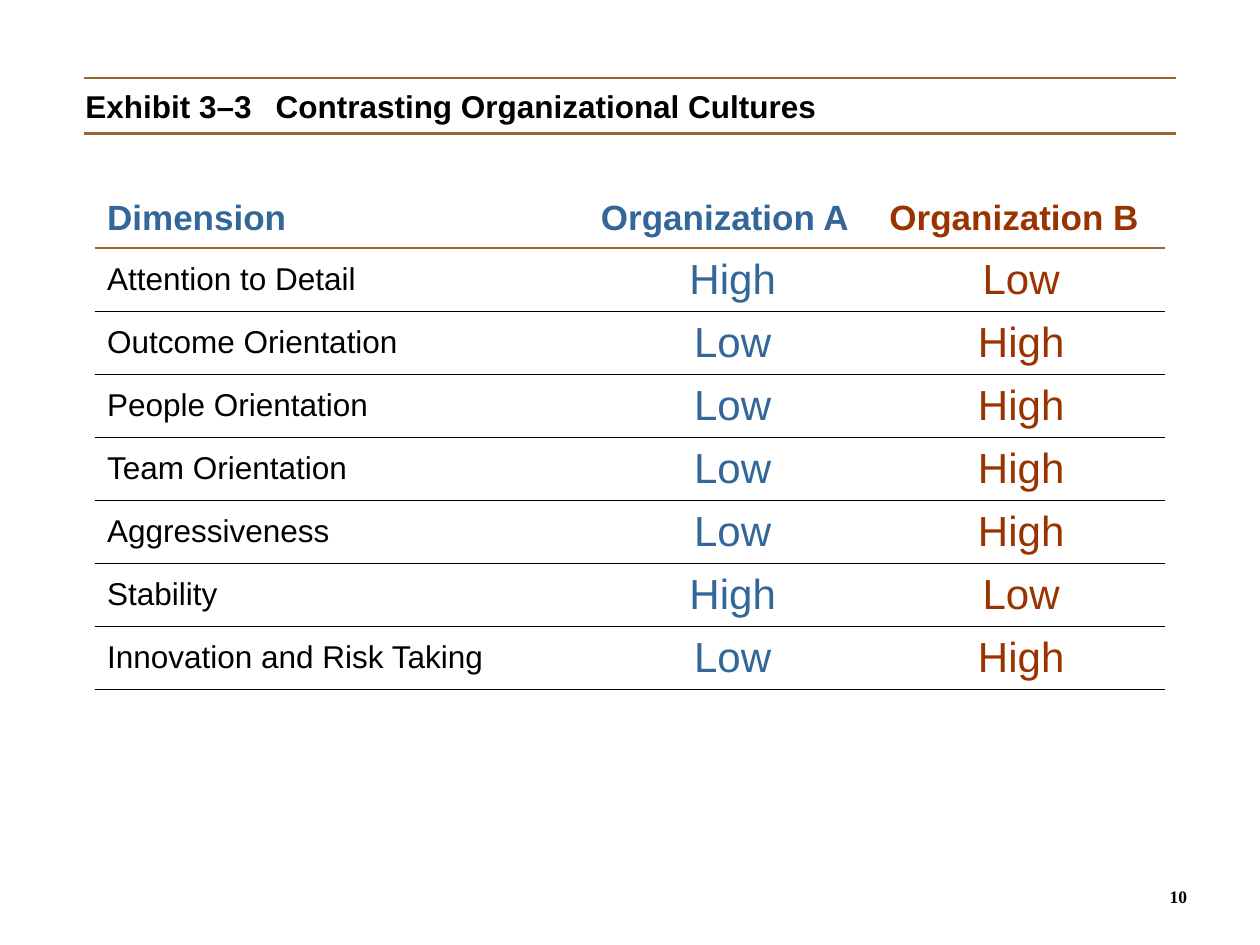
"""Build a slide with a table that contrasts two organizational cultures."""
from lxml.etree import SubElement
from pptx import Presentation
from pptx.dml.color import RGBColor as Rgb
from pptx.enum.shapes import MSO_CONNECTOR as Link
from pptx.enum.text import MSO_ANCHOR as Anchor, PP_ALIGN as Align
from pptx.oxml import parse_xml
from pptx.oxml.ns import nsdecls, qn
from pptx.util import Inches, Pt

TITLE = "Exhibit 3–3\tContrasting Organizational Cultures"
PAGE = "10"
HEADS = ("Dimension", "Organization A", "Organization B")
ROWS = [
    ("Attention to Detail", "High", "Low"),
    ("Outcome Orientation", "Low", "High"),
    ("People Orientation", "Low", "High"),
    ("Team Orientation", "Low", "High"),
    ("Aggressiveness", "Low", "High"),
    ("Stability", "High", "Low"),
    ("Innovation and Risk Taking", "Low", "High"),
]
COLORS = {"ink": "000000", "rule": "996633", "blue": "336699", "red": "993300"}
WIDTHS = (3.92, 2.29, 2.29)
HEAD_H, ROW_H = 0.44, 0.5
PLAIN = "{2D5ABB26-0587-4C30-8999-92F81FD0307C}"


def style(para, size, color, bold=False, face="Arial", align=Align.LEFT):
    para.alignment = align
    font = para.font
    font.size, font.bold, font.name = Pt(size), bold, face
    font.color.rgb = Rgb.from_string(COLORS[color])


def add_text(slide, text, box, anchor, side):
    frame = slide.shapes.add_textbox(*map(Inches, box)).text_frame
    frame.word_wrap = True
    frame.vertical_anchor = anchor
    frame.margin_left = frame.margin_right = Inches(side)
    para = frame.paragraphs[0]
    para.text = text
    return para


def add_title(slide):
    para = add_text(slide, TITLE, (0.58, 0.64, 8.83, 0.4), Anchor.TOP, 0.1)
    props = para._p.get_or_add_pPr()
    hang = Inches(1.51)
    props.set("marL", str(hang))
    props.set("indent", str(-hang))
    tabs = SubElement(props, qn("a:tabLst"))
    SubElement(tabs, qn("a:tab"), pos=str(hang), algn="l")
    style(para, 18, "ink", True)


def add_rule(slide, y):
    ends = map(Inches, (0.67, y, 9.33, y))
    rule = slide.shapes.add_connector(Link.STRAIGHT, *ends)
    rule.line.color.rgb = Rgb.from_string(COLORS["rule"])
    rule.line.width = Pt(1.5)
    SubElement(rule._element.spPr, qn("a:effectLst"))


def border(cell, side, color, width):
    line = parse_xml(
        f'<a:{side} {nsdecls("a")} w="{Pt(width)}"><a:solidFill>'
        f'<a:srgbClr val="{COLORS[color]}"/></a:solidFill></a:{side}>')
    cell._tc.get_or_add_tcPr().insert(0, line)


def add_grid(slide):
    count = len(ROWS) + 1
    box = (0.75, 1.53, sum(WIDTHS), HEAD_H + ROW_H * len(ROWS))
    grid = slide.shapes.add_table(count, len(HEADS), *map(Inches, box)).table
    grid.first_row = grid.horz_banding = False
    grid._tbl.tblPr.find(qn("a:tableStyleId")).text = PLAIN
    for col, width in zip(grid.columns, WIDTHS):
        col.width = Inches(width)
    for r, row in enumerate([HEADS] + ROWS):
        grid.rows[r].height = Inches(ROW_H if r else HEAD_H)
        for c, text in enumerate(row):
            cell = grid.cell(r, c)
            cell.text = text
            cell.fill.background()
            para = cell.text_frame.paragraphs[0]
            if r == 0:
                style(para, 20, ("blue", "blue", "red")[c], True)
                border(cell, "lnB", "rule", 1.08)
                continue
            cell.vertical_anchor = Anchor.MIDDLE
            style(para, 24 if c else 18, ("ink", "blue", "red")[c],
                  align=Align.CENTER if c else Align.LEFT)
            border(cell, "lnB", "ink", 0.45)
            border(cell, "lnT", *(("rule", 1.08) if r == 1 else ("ink", 0.45)))


def main():
    deck = Presentation()
    deck.slide_width, deck.slide_height = Inches(10), Inches(7.5)
    slide = deck.slides.add_slide(deck.slide_layouts[6])
    add_title(slide)
    for y in (1.06, 0.62):
        add_rule(slide, y)
    add_grid(slide)
    page = add_text(slide, PAGE, (7, 6.75, 2.42, 0.5), Anchor.BOTTOM, 0)
    style(page, 10, "ink", True, "Times New Roman", Align.RIGHT)
    deck.save("out.pptx")


if __name__ == "__main__":
    main()
